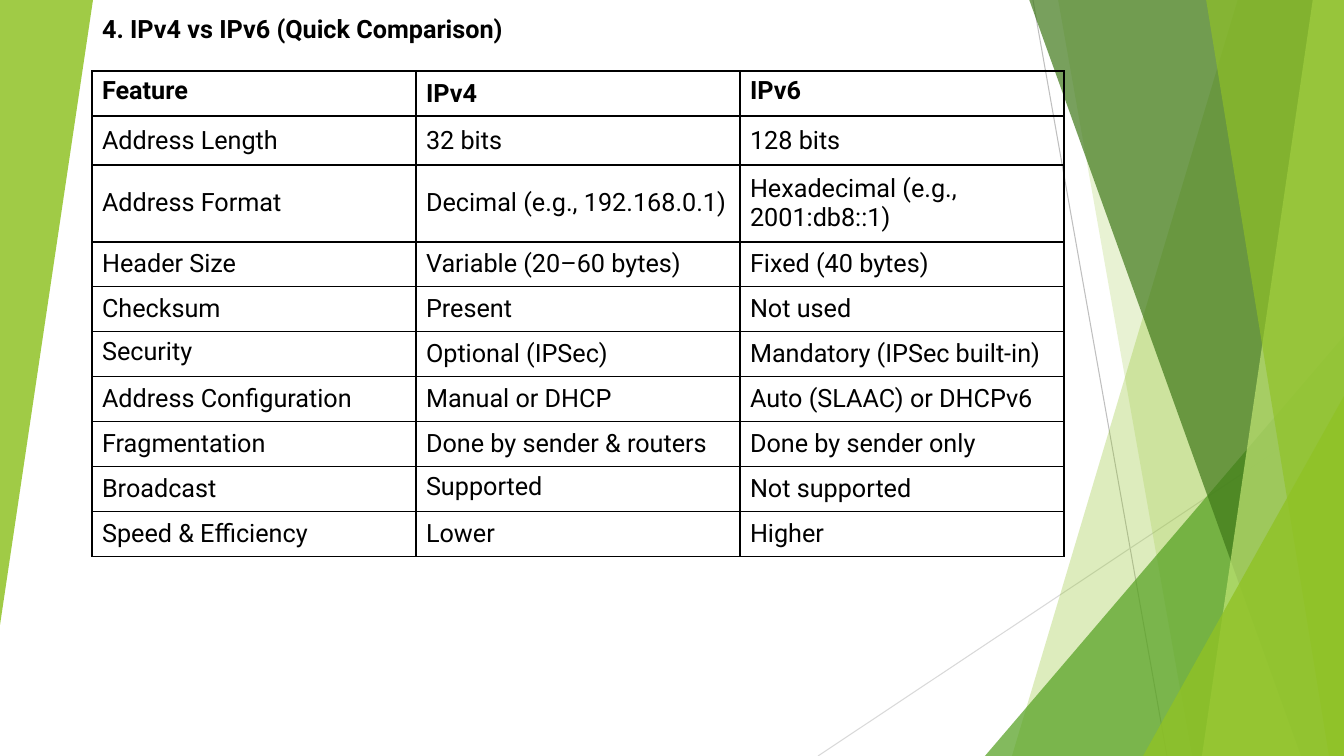
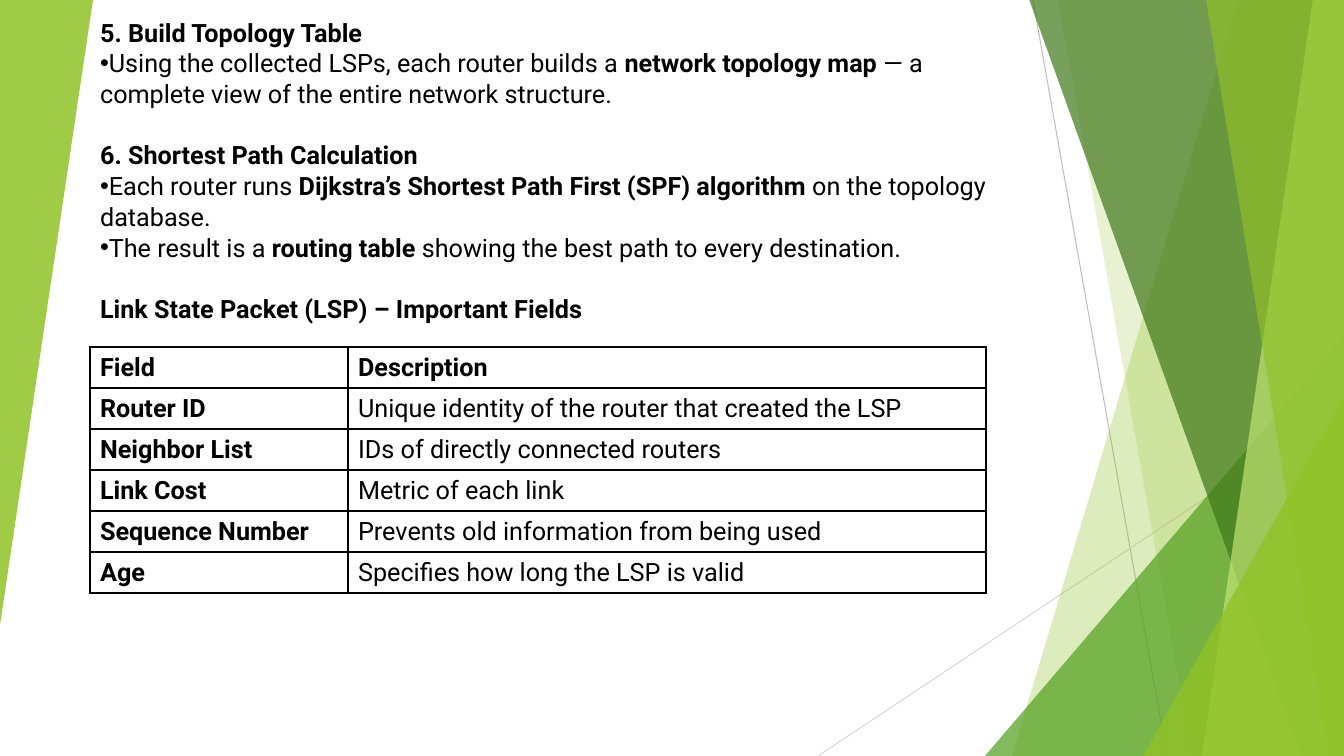
import dataclasses

import pptx
import pptx.dml.color
import pptx.enum.shapes
import pptx.enum.text
import pptx.oxml
import pptx.oxml.ns
import pptx.util

SHAPE = pptx.enum.shapes.MSO_SHAPE
ANCHOR = pptx.enum.text.MSO_ANCHOR
EMU_PER_PX = 914400 / 100.8
WIDTH, HEIGHT = 1344, 756
TITLE_ONLY, TITLE_AND_CONTENT = 5, 1


@dataclasses.dataclass(frozen=True)
class Theme:
    font: str = "Roboto"
    text_size: int = 18
    text: str = "000000"
    border: str = "000000"
    border_width: int = 1
    hairline_width: float = 0.75
    line_spacing: float = 1.02
    section_gap: float = 21.6
    dark_hairline: str = "BFBFBF"
    light_hairline: str = "D9D9D9"
    lime: str = "90C226"
    pale_lime: str = "C0E474"
    leaf: str = "54A021"
    forest: str = "3F7819"


def px(length):
    return pptx.util.Emu(round(length * EMU_PER_PX))


def rgb(code):
    return pptx.dml.color.RGBColor.from_string(code)


def set_all(target, formats):
    for name, value in formats.items():
        setattr(target, name, value)


def a_element(xml):
    """Build a drawing element whose prefix is a:."""
    tag_end = min(xml.index(mark) for mark in " />" if mark in xml)
    namespace = pptx.oxml.ns.nsdecls("a")
    return pptx.oxml.parse_xml(f"{xml[:tag_end]} {namespace}{xml[tag_end:]}")


class Deck:
    def __init__(self, theme):
        self.theme = theme
        self.presentation = pptx.Presentation()
        set_all(self.presentation, {"slide_width": px(WIDTH), "slide_height": px(HEIGHT)})
        self.slide = None

    def add_slide(self, layout):
        first = self.slide is None
        self.slide = self.presentation.slides.add_slide(self.presentation.slide_layouts[layout])
        if first:
            self.draw_backdrop()
            self.move_backdrop_to_master()

    def draw_backdrop(self):
        theme = self.theme
        self.hairline((1033, 0), (1167, HEIGHT), theme.dark_hairline)
        self.hairline((WIDTH, 406), (818, HEIGHT), theme.light_hairline)
        self.band(1238, 1012, theme.lime, 30)
        self.band(1058, 1192, theme.lime, 20)
        self.triangle((985, 336, 359, 420), theme.leaf, 72)
        self.band(1029, 1301, theme.forest, 70)
        self.band(1313, 1202, theme.pale_lime, 70)
        self.band(1206, 1329, theme.lime, 65)
        self.triangle((1143, 396, 201, 360), theme.lime, 80)
        self.triangle((0, 0, 93, 625), theme.lime, 85, rotation=180)

    def move_backdrop_to_master(self):
        tree = self.presentation.slide_master.shapes.element
        drawn = [shape for shape in self.slide.shapes if not shape.is_placeholder]
        for number, shape in enumerate(drawn, start=100):
            shape.element.xpath(".//p:cNvPr")[0].set("id", str(number))
            tree.append(shape.element)

    def hairline(self, start, end, color):
        line = self.slide.shapes.add_connector(
            pptx.enum.shapes.MSO_CONNECTOR.STRAIGHT, *map(px, start + end))
        line.line.color.rgb = rgb(color)
        line.line.width = pptx.util.Pt(self.theme.hairline_width)
        line.element.spPr.append(a_element("<a:effectLst/>"))

    def band(self, top_x, bottom_x, color, opacity):
        """Fill from a slanted left edge to the right edge of the slide."""
        outline = self.slide.shapes.build_freeform(px(top_x), px(-1), scale=1.0)
        corners = [(WIDTH, -1), (WIDTH, HEIGHT), (bottom_x, HEIGHT)]
        outline.add_line_segments([(px(x), px(y)) for x, y in corners], close=True)
        self.paint(outline.convert_to_shape(), color, opacity)

    def triangle(self, box, color, opacity, rotation=0):
        """Right-angled triangle with its tip at the top right."""
        corner = self.slide.shapes.add_shape(SHAPE.ISOSCELES_TRIANGLE, *map(px, box))
        corner.adjustments[0] = 1.0
        corner.rotation = rotation
        self.paint(corner, color, opacity)

    def paint(self, shape, color, opacity):
        shape.shadow.inherit = False
        shape.line.fill.background()
        shape.fill.solid()
        shape.fill.fore_color.rgb = rgb(color)
        tint = shape.element.xpath("./p:spPr/a:solidFill/a:srgbClr")[0]
        tint.append(a_element(f'<a:alpha val="{opacity * 1000}"/>'))

    def add_text(self, paragraph, text, bold=False):
        """Add runs for text in which ** switches bold on and off."""
        for index, part in enumerate(text.split("**")):
            if part:
                run = paragraph.add_run()
                run.text = part
                set_all(run.font, {"name": self.theme.font,
                                   "size": pptx.util.Pt(self.theme.text_size),
                                   "bold": bold or index % 2 == 1})
                run.font.color.rgb = rgb(self.theme.text)

    def place(self, holder, box):
        set_all(holder, dict(zip(("left", "top", "width", "height"), map(px, box))))
        set_all(holder.text_frame, {"word_wrap": True,
                                    "auto_size": pptx.enum.text.MSO_AUTO_SIZE.NONE,
                                    "vertical_anchor": ANCHOR.TOP})
        return holder.text_frame

    def format_paragraph(self, paragraph, bulleted=False, gap=0):
        properties = paragraph._p.get_or_add_pPr()
        set_all(paragraph, {"alignment": pptx.enum.text.PP_ALIGN.LEFT,
                            "line_spacing": self.theme.line_spacing,
                            "space_before": pptx.util.Pt(gap),
                            "space_after": pptx.util.Pt(0)})
        for indent in ("marL", "indent"):
            properties.set(indent, "0")
        properties.append(a_element('<a:buChar char="•"/>' if bulleted else "<a:buNone/>"))

    def title(self, text, box):
        heading = self.place(self.slide.shapes.title, box).paragraphs[0]
        self.format_paragraph(heading)
        self.add_text(heading, text, bold=True)

    def body(self, lines, box):
        """Fill the body with bulleted lines; a line that starts with # is a section heading."""
        frame = self.place(self.slide.placeholders[1], box)
        for index, line in enumerate(lines):
            paragraph = frame.add_paragraph() if index else frame.paragraphs[0]
            is_heading = line.startswith("#")
            self.format_paragraph(paragraph, bulleted=not is_heading,
                                  gap=self.theme.section_gap if is_heading else 0)
            self.add_text(paragraph, line.lstrip("# "), bold=is_heading)

    def table(self, rows, origin, widths, heights, bold_first_column=False, top_cells=()):
        """Bordered table with a bold first row; top_cells are not centred in height."""
        frame = self.slide.shapes.add_table(
            len(rows), len(widths), *map(px, (*origin, sum(widths), sum(heights))))
        grid = frame.table
        set_all(grid, {"first_row": False, "horz_banding": False})
        for column, width in zip(grid.columns, widths):
            column.width = px(width)
        for r, (row, height) in enumerate(zip(rows, heights)):
            grid.rows[r].height = px(height)
            for c, text in enumerate(row):
                cell = grid.cell(r, c)
                cell.fill.background()
                cell.vertical_anchor = ANCHOR.TOP if (r, c) in top_cells else ANCHOR.MIDDLE
                self.add_borders(cell)
                self.add_text(cell.text_frame.paragraphs[0], text,
                              bold=r == 0 or (bold_first_column and c == 0))

    def add_borders(self, cell):
        properties = cell._tc.get_or_add_tcPr()
        width = pptx.util.Pt(self.theme.border_width)
        for index, side in enumerate("LRTB"):
            properties.insert(index, a_element(
                f'<a:ln{side} w="{width}"><a:solidFill>'
                f'<a:srgbClr val="{self.theme.border}"/></a:solidFill></a:ln{side}>'))


def add_comparison(deck):
    deck.add_slide(TITLE_ONLY)
    deck.title("4. IPv4 vs IPv6 (Quick Comparison)", (92, 8, 934, 40))
    features = [
        ("Feature", "IPv4", "IPv6"),
        ("Address Length", "32 bits", "128 bits"),
        ("Address Format", "Decimal (e.g., 192.168.0.1)", "Hexadecimal (e.g., 2001:db8::1)"),
        ("Header Size", "Variable (20–60 bytes)", "Fixed (40 bytes)"),
        ("Checksum", "Present", "Not used"),
        ("Security", "Optional (IPSec)", "Mandatory (IPSec built-in)"),
        ("Address Configuration", "Manual or DHCP", "Auto (SLAAC) or DHCPv6"),
        ("Fragmentation", "Done by sender & routers", "Done by sender only"),
        ("Broadcast", "Supported", "Not supported"),
        ("Speed & Efficiency", "Lower", "Higher"),
    ]
    deck.table(features, (92, 71), [324] * 3, [45, 49, 77] + [45] * 7,
               top_cells={(0, 0), (0, 2), (5, 0), (8, 1)})


def add_link_state(deck):
    deck.add_slide(TITLE_AND_CONTENT)
    deck.title("5. Build Topology Table", (90, 12, 943, 40))
    deck.body([
        "Using the collected LSPs, each router builds a **network topology map** — "
        "a complete view of the entire network structure.",
        "# 6. Shortest Path Calculation",
        "Each router runs **Dijkstra’s Shortest Path First (SPF) algorithm** "
        "on the topology database.",
        "The result is a **routing table** showing the best path to every destination.",
        "# Link State Packet (LSP) – Important Fields",
    ], (90, 42, 943, 286))
    packet_fields = [
        ("Field", "Description"),
        ("Router ID", "Unique identity of the router that created the LSP"),
        ("Neighbor List", "IDs of directly connected routers"),
        ("Link Cost", "Metric of each link"),
        ("Sequence Number", "Prevents old information from being used"),
        ("Age", "Specifies how long the LSP is valid"),
    ]
    deck.table(packet_fields, (90, 347), [258, 638], [41] * len(packet_fields),
               bold_first_column=True)


def main():
    deck = Deck(Theme())
    add_comparison(deck)
    add_link_state(deck)
    deck.presentation.save("out.pptx")


if __name__ == "__main__":
    main()
